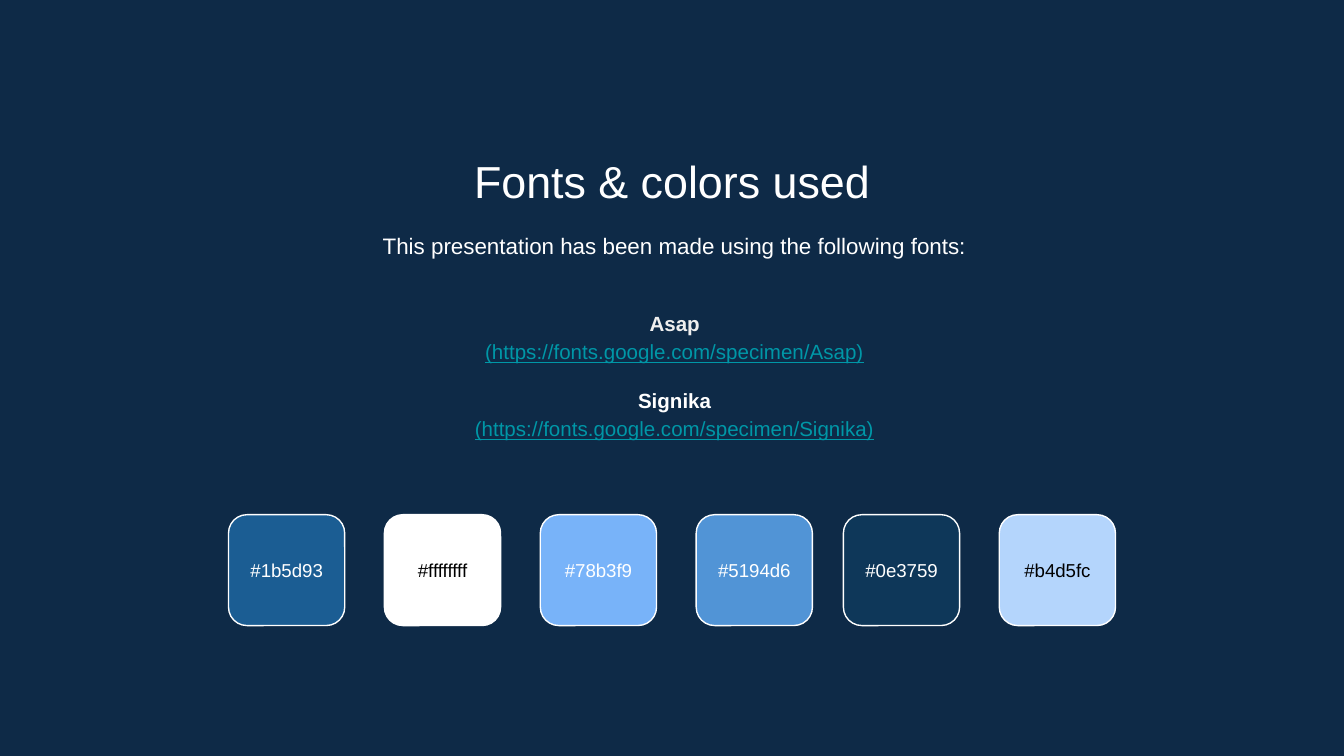
from pptx import Presentation
from pptx import util as u
from pptx.dml.color import RGBColor
from pptx.enum import shapes, text

PX = u.Inches(1) // 200
FONT = "Arial"
COLORS = {
    "background": "0E2A47",
    "white": "FFFFFF",
    "black": "000000",
    "soft": "EFEFEF",
    "link": "0097A7",
}
FONTS_USED = [
    ("Asap", "(https://fonts.google.com/specimen/Asap)", "soft"),
    ("Signika", "(https://fonts.google.com/specimen/Signika)", "white"),
]
SWATCH_ROWS = [
    ((340, 766, 869, 165), [("#1b5d93", "white"), ("#ffffffff", "black"),
                            ("#78b3f9", "white"), ("#5194d6", "white")]),
    ((1255, 766, 405, 165), [("#0e3759", "white"), ("#b4d5fc", "black")]),
]


def emu(*lengths):
    return [length * PX for length in lengths]


def rgb(value):
    return RGBColor.from_string(value)


def add_box(parent, box, anchor=text.MSO_ANCHOR.TOP):
    frame = parent.add_textbox(*emu(*box)).text_frame
    frame.word_wrap = True
    frame.vertical_anchor = anchor
    frame.margin_left = frame.margin_right = 20 * PX
    frame.margin_top = frame.margin_bottom = 20 * PX
    return frame


def write(frame, words, size, color="white", bold=False, underline=False,
          line_spacing=1.0, space_before=0):
    first = frame.paragraphs[0]
    paragraph = frame.add_paragraph() if first.runs else first
    paragraph.alignment = text.PP_ALIGN.CENTER
    paragraph.line_spacing = line_spacing
    if space_before:
        paragraph.space_before = u.Pt(space_before)
    run = paragraph.add_run()
    run.text = words
    run.font.name = FONT
    run.font.size = u.Pt(size)
    run.font.bold = bold
    run.font.underline = underline
    run.font.color.rgb = rgb(COLORS[color])


def add_heading(slide, box):
    left, top, width, height = box
    write(add_box(slide.shapes, (left, top, width, 106)), "Fonts & colors used", 24)
    intro = add_box(slide.shapes, (left + 4, top + 110, width, height - 110))
    write(intro, "This presentation has been made using the following fonts:",
          12, line_spacing=1.15)


def add_font_list(slide, box):
    frame = add_box(slide.shapes, box, text.MSO_ANCHOR.MIDDLE)
    for index, (name, address, color) in enumerate(FONTS_USED):
        write(frame, name, 11, color, bold=True, line_spacing=1.15,
              space_before=11 if index else 0)
        write(frame, address, 11, "link", underline=True, line_spacing=1.15)


def add_swatches(slide, box, swatches):
    left, top, width, height = box
    side = 173
    step = (width - side) // (len(swatches) - 1)
    group = slide.shapes.add_group_shape().shapes
    for index, (code, color) in enumerate(swatches):
        x = left + index * step
        swatch = group.add_shape(shapes.MSO_SHAPE.ROUNDED_RECTANGLE,
                                 *emu(x, top, side, height))
        swatch.shadow.inherit = False
        swatch.fill.solid()
        swatch.fill.fore_color.rgb = rgb(code[1:7].upper())
        swatch.line.color.rgb = rgb(COLORS["white"])
        swatch.line.width = u.Pt(0.75)
        label = add_box(group, (x, top + 34, side, 96), text.MSO_ANCHOR.MIDDLE)
        write(label, code, 10, color)


def main():
    presentation = Presentation()
    presentation.slide_width, presentation.slide_height = emu(2000, 1125)
    slide = presentation.slides.add_slide(presentation.slide_layouts[6])
    slide.background.fill.solid()
    slide.background.fill.fore_color.rgb = rgb(COLORS["background"])
    add_heading(slide, (229, 209, 1542, 206))
    add_font_list(slide, (233, 420, 1542, 274))
    for box, swatches in SWATCH_ROWS:
        add_swatches(slide, box, swatches)
    presentation.save("out.pptx")


if __name__ == "__main__":
    main()
